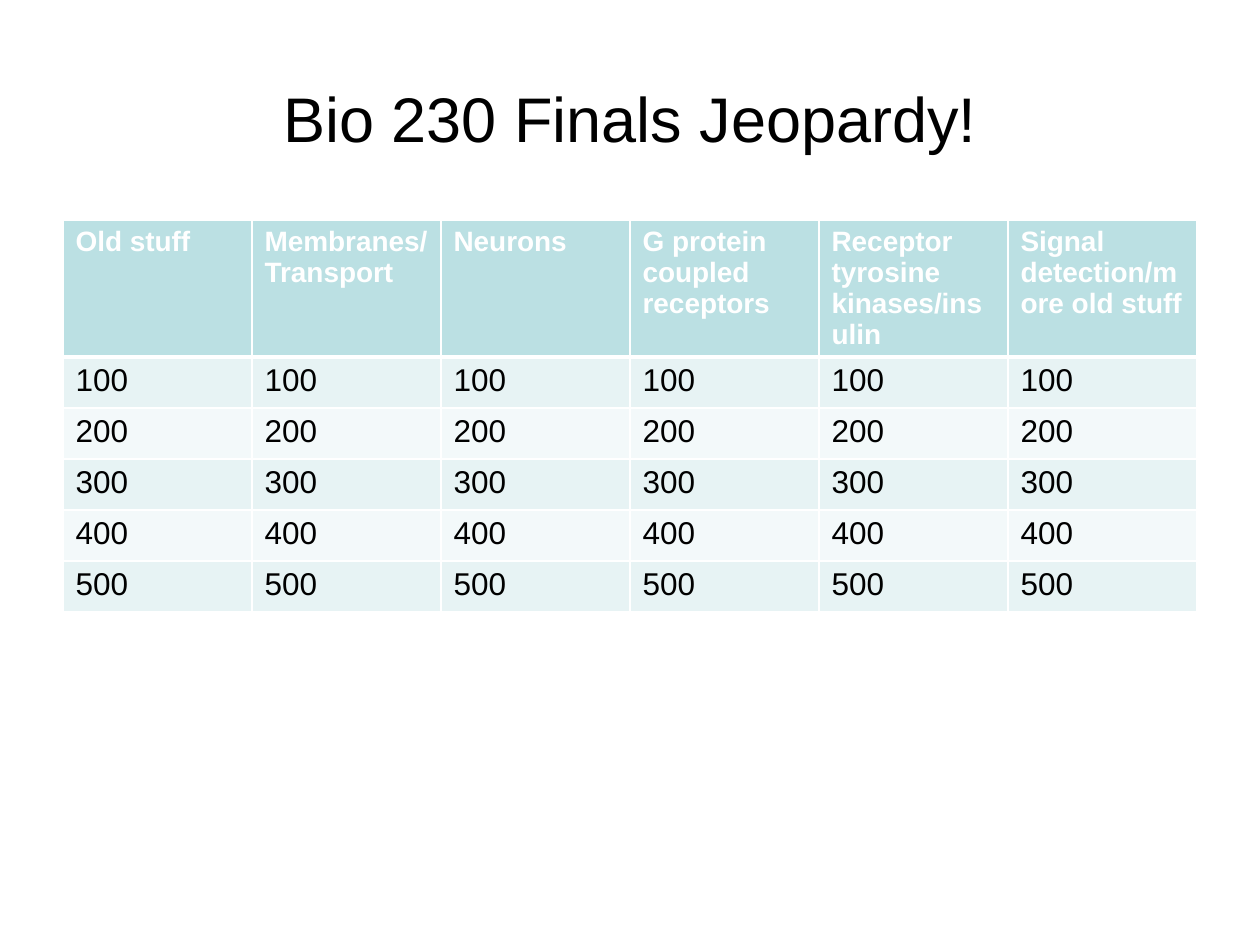
"""Build the Bio 230 Finals Jeopardy board slide."""
import pptx
import pptx.util
import pptx.dml.color
import pptx.enum.text
import pptx.oxml
import pptx.oxml.ns

COLORS = {"header": "BBE0E3", "odd": "E7F3F4", "even": "F3F9FA",
          "white": "FFFFFF", "black": "000000"}
TOPICS = ["Old stuff", "Membranes/Transport", "Neurons",
          "G protein coupled receptors", "Receptor tyrosine kinases/insulin",
          "Signal detection/more old stuff"]
POINTS = [100, 200, 300, 400, 500]


def px(n):
    return pptx.util.Emu(n * 914400 // 126)


class Deck:
    font = "Arial"

    def __init__(self):
        self.prs = pptx.Presentation()
        self.prs.slide_width, self.prs.slide_height = px(1260), px(945)
        self.s = self.prs.slides.add_slide(self.prs.slide_layouts[5])

    def place(self, sp, box):
        for name, n in zip(("left", "top", "width", "height"), box):
            setattr(sp, name, px(n))

    def text(self, tf, text, size, color, **fmt):
        p = tf.paragraphs[0]
        r = p.add_run()
        r.text = text
        fmt.update(name=self.font, size=pptx.util.Pt(size))
        for key, value in fmt.items():
            setattr(r.font, key, value)
        r.font.color.rgb = pptx.dml.color.RGBColor.from_string(COLORS[color])
        return p

    def title(self, text, box, size):
        sp = self.s.shapes.title
        self.place(sp, box)
        tf = sp.text_frame
        tf.vertical_anchor = pptx.enum.text.MSO_ANCHOR.MIDDLE
        p = self.text(tf, text, size, "black", bold=False)
        p.alignment = pptx.enum.text.PP_ALIGN.CENTER

    def border(self, cell, **widths):
        for side in "LRTB":
            width = pptx.util.Pt(widths.get(side, 1))
            cell._tc.get_or_add_tcPr().append(pptx.oxml.parse_xml(
                f'<a:ln{side} {pptx.oxml.ns.nsdecls("a")} w="{int(width)}"><a:solidFill>'
                f'<a:srgbClr val="{COLORS["white"]}"/></a:solidFill></a:ln{side}>'))

    def cell(self, cell, text, fill, size, color, bold, **widths):
        self.border(cell, **widths)
        cell.fill.solid()
        cell.fill.fore_color.rgb = pptx.dml.color.RGBColor.from_string(COLORS[fill])
        self.text(cell.text_frame, text, size, color, bold=bold)

    def table(self, rows, box, row_height):
        gf = self.s.shapes.add_table(len(rows), len(rows[0]), *map(px, box))
        for i, row in enumerate(rows):
            gf.table.rows[i].height = px(row_height)
            if i == 0:
                style = dict(fill="header", size=16, color="white", bold=True, B=3)
            else:
                style = dict(fill="odd" if i % 2 else "even", size=18,
                             color="black", bold=False, T=3 if i == 1 else 1)
            for j, text in enumerate(row):
                self.cell(gf.table.cell(i, j), text, **style)
        self.place(gf, box)


def main():
    deck = Deck()
    deck.title("Bio 230 Finals Jeopardy!", (63, 38, 1134, 158), 36)
    rows = [TOPICS] + [[str(n)] * len(TOPICS) for n in POINTS]
    deck.table(rows, (63, 220, 1134, 402), 51)
    deck.prs.save("out.pptx")


if __name__ == "__main__":
    main()
